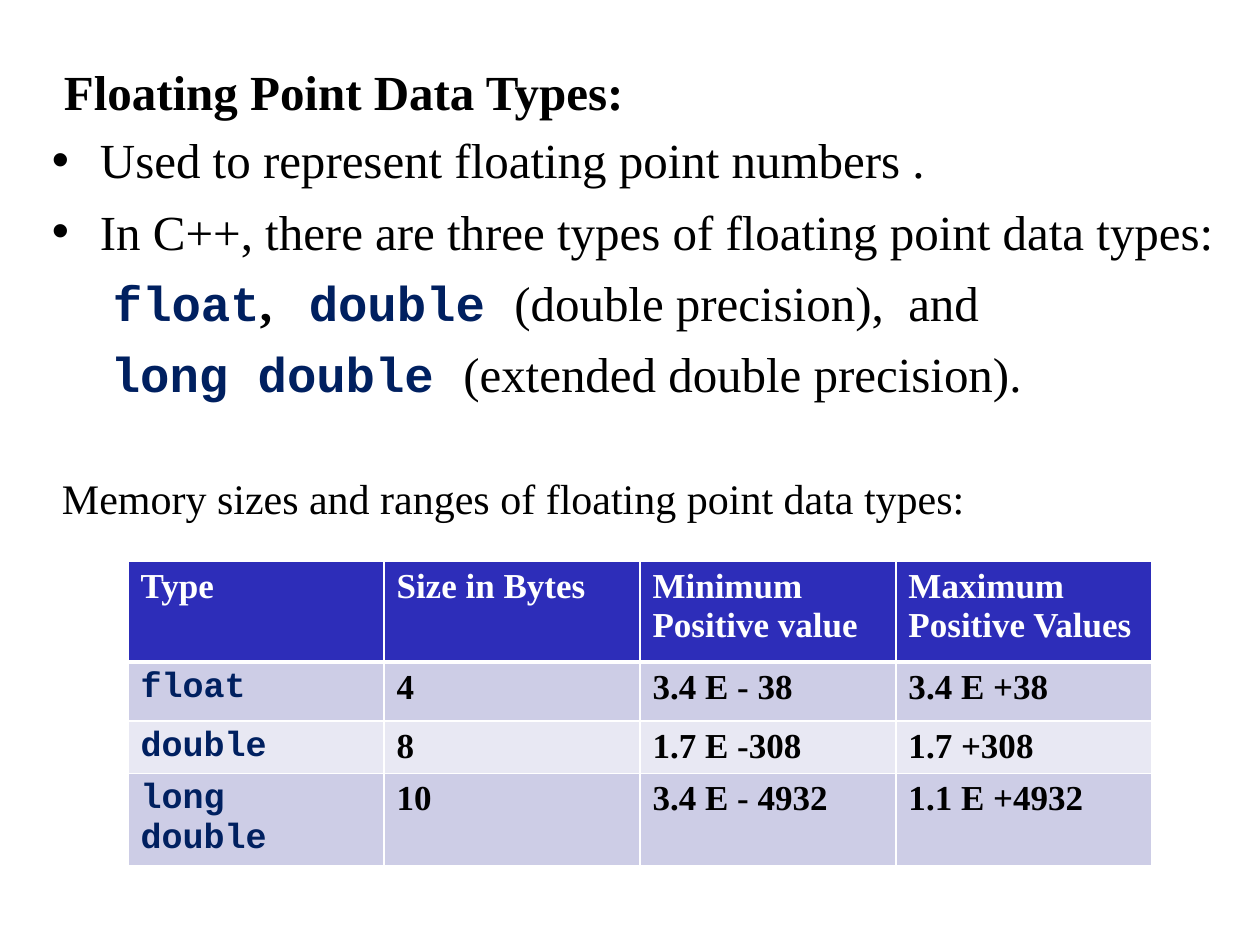
import pptx
import pptx.util
import pptx.dml.color
import pptx.enum.text
import pptx.oxml.ns
from lxml import etree

PIXEL = 914400 // 126
SERIF, MONO = "Times New Roman", "Courier New"
BLACK, NAVY, WHITE = "000000", "002060", "FFFFFF"

# Content
HEADING = "Floating Point Data Types:"
CODE = dict(font=MONO, color=NAVY, bold=True)
# Each line: left margin, hanging indent, space before in points, runs
LINES = [
    (48, 48, 0, [("Used to represent floating point numbers .", {})]),
    (48, 48, 7, [("In C++, there are three types of floating point data types:", {})]),
    (61, 0, 7, [("float", CODE), (",", dict(bold=True)),
                (" ", dict(bold=True, spacing=14)), ("double ", CODE),
                ("(double precision),  and", {})]),
    (59, 0, 7, [("long double ", CODE), ("(extended double precision).", {})]),
    (10, 0, 40, [("Memory sizes and ranges of floating point data types:", dict(size=24))]),
]
TABLE = [
    ["Type", "Size in Bytes", "Minimum Positive value", "Maximum Positive Values"],
    ["float", "4", "3.4 E - 38", "3.4 E +38"],
    ["double", "8", "1.7 E -308", "1.7 +308"],
    ["long double", "10", "3.4 E - 4932", "1.1 E +4932"],
]
ROW_HEIGHTS = [101, 59, 52, 92]
ROW_FILLS = ["2D2DB9", "CDCDE6", "E8E8F3", "CDCDE6"]
COLUMN_WIDTH = 256


def px(*lengths):
    return [length * PIXEL for length in lengths]


def rgb(value):
    return pptx.dml.color.RGBColor.from_string(value)


def add_text(paragraph, text, size=28, font=SERIF, color=BLACK, bold=False, spacing=0):
    run = paragraph.add_run()
    run.text = text
    run.font.size = pptx.util.Pt(size)
    run.font.name = font
    run.font.bold = bold
    run.font.color.rgb = rgb(color)
    if spacing:
        run.font._element.set("spc", str(spacing * 100))


def prepare_frame(frame):
    frame.word_wrap = True
    frame.auto_size = pptx.enum.text.MSO_AUTO_SIZE.NONE
    frame.vertical_anchor = pptx.enum.text.MSO_ANCHOR.TOP
    frame.margin_left = frame.margin_right = frame.margin_top = frame.margin_bottom = 0


def add_element(parent, tag, **attributes):
    return etree.SubElement(parent, pptx.oxml.ns.qn(tag), **attributes)


def set_border(cell, side, points):
    line = add_element(cell._tc.get_or_add_tcPr(), "a:" + side, w=str(points * 12700))
    add_element(add_element(line, "a:solidFill"), "a:srgbClr", val=WHITE)


presentation = pptx.Presentation()
presentation.slide_width, presentation.slide_height = px(1260, 945)
slide = presentation.slides.add_slide(presentation.slide_layouts[5])

# Heading
title = slide.shapes.title
title.left, title.top, title.width, title.height = px(64, 61, 1150, 58)
prepare_frame(title.text_frame)
paragraph = title.text_frame.paragraphs[0]
paragraph.alignment = pptx.enum.text.PP_ALIGN.LEFT
add_text(paragraph, HEADING, bold=True)

# Bullets and data type names
body = slide.shapes.add_textbox(*px(52, 130, 1175, 390))
prepare_frame(body.text_frame)
for index, (margin, hanging, before, runs) in enumerate(LINES):
    paragraph = body.text_frame.add_paragraph() if index else body.text_frame.paragraphs[0]
    paragraph.space_before = pptx.util.Pt(before)
    properties = paragraph._p.get_or_add_pPr()
    properties.set("marL", str(margin * PIXEL))
    properties.set("indent", str(-hanging * PIXEL))
    if hanging:
        add_element(properties, "a:buFont", typeface="Arial")
        add_element(properties, "a:buChar", char="•")
    for text, style in runs:
        add_text(paragraph, text, **style)

# Table of sizes and ranges
frame = slide.shapes.add_table(
    len(TABLE), len(TABLE[0]),
    *px(128, 561, COLUMN_WIDTH * len(TABLE[0]), sum(ROW_HEIGHTS)))
table = frame.table
for column in table.columns:
    column.width = COLUMN_WIDTH * PIXEL
for row, values in enumerate(TABLE):
    table.rows[row].height = ROW_HEIGHTS[row] * PIXEL
    for column, value in enumerate(values):
        cell = table.cell(row, column)
        style = dict(CODE) if row and column == 0 else dict(bold=True)
        if row == 0:
            style["color"] = WHITE
        add_text(cell.text_frame.paragraphs[0], value, size=20, **style)
        for side in ("lnL", "lnR", "lnT", "lnB"):
            thick = (row, side) in ((0, "lnB"), (1, "lnT"))
            set_border(cell, side, 3 if thick else 1)
        cell.fill.solid()
        cell.fill.fore_color.rgb = rgb(ROW_FILLS[row])

presentation.save("out.pptx")
